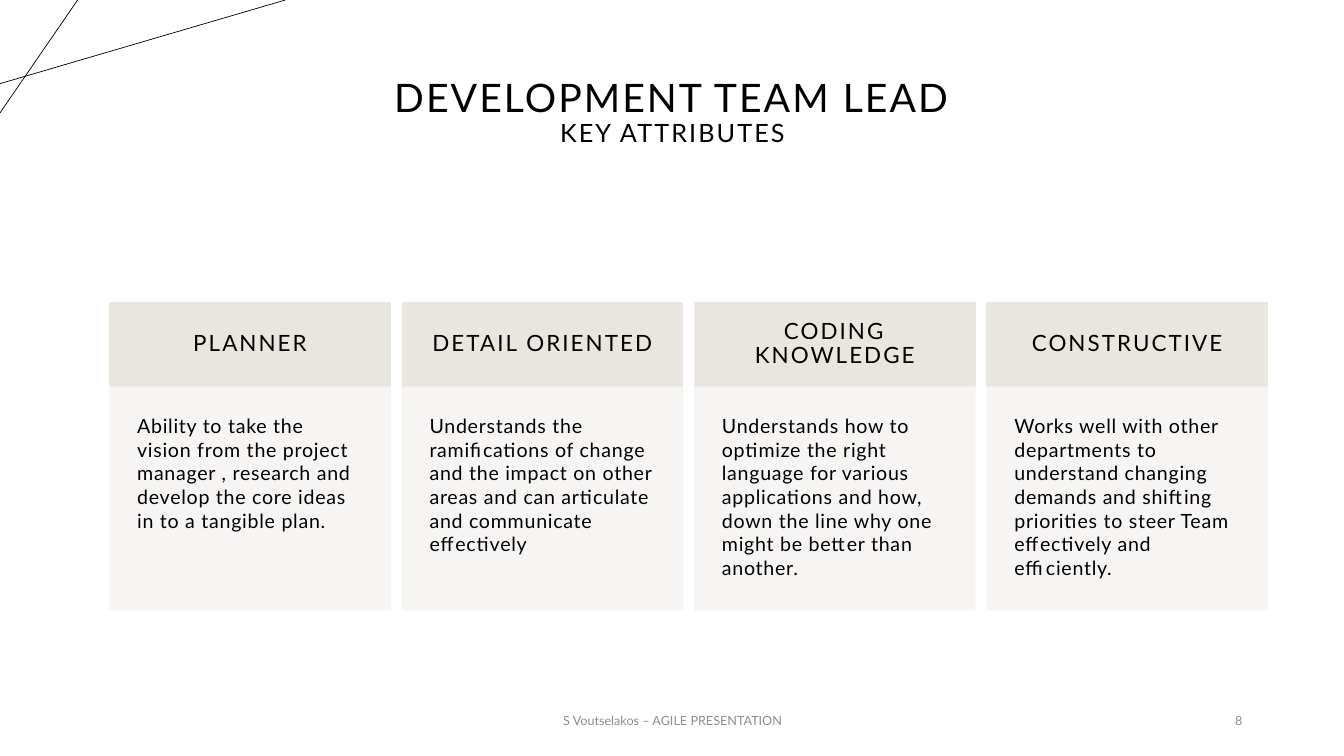
import pptx
import pptx.util
import pptx.dml.color
import pptx.enum.shapes
import pptx.enum.text
import pptx.oxml.ns
import lxml.etree

Inches = pptx.util.Inches
Pt = pptx.util.Pt
RGBColor = pptx.dml.color.RGBColor
ALIGN = pptx.enum.text.PP_ALIGN
ANCHOR = pptx.enum.text.MSO_ANCHOR

BLACK = RGBColor(0x00, 0x00, 0x00)
GREY = RGBColor(0x8C, 0x8C, 0x8C)
HEADING_FILL = RGBColor(0xE9, 0xE6, 0xDF)
BODY_FILL = RGBColor(0xF7, 0xF5, 0xF3)

FONT = "Lato"
SLIDE_WIDTH, SLIDE_HEIGHT = 13.33, 7.5
GRID_LEFT, COLUMN_PITCH, COLUMN_WIDTH = 1.09, 2.9, 2.78
HEADING_TOP, HEADING_HEIGHT = 3, 0.83
BODY_TOP, BODY_HEIGHT = 3.84, 2.21
FOOTER_TOP, FOOTER_HEIGHT = 6.95, 0.4

ATTRIBUTES = [
    ("PLANNER",
     "Ability to take the vision from the project manager , research and "
     "develop the core ideas in to a tangible plan."),
    ("DETAIL ORIENTED",
     "Understands the ramifications of change and the impact on other areas "
     "and can articulate and communicate effectively"),
    ("CODING KNOWLEDGE",
     "Understands how to optimize the right language for various applications "
     "and how, down the line why one might be better than another."),
    ("CONSTRUCTIVE",
     "Works well with other departments to understand changing demands and "
     "shifting priorities to steer Team effectively and efficiently."),
]


def write_text(shape, text, sizes, color, align, anchor, tracking=0,
               line_spacing=1.0, insets=(0.1, 0.05)):
    frame = shape.text_frame
    frame.word_wrap = True
    frame.vertical_anchor = anchor
    frame.margin_left = frame.margin_right = Inches(insets[0])
    frame.margin_top = frame.margin_bottom = Inches(insets[1])
    paragraph = frame.paragraphs[0]
    paragraph.text = text
    paragraph.alignment = align
    paragraph.line_spacing = line_spacing
    for run, size in zip(paragraph.runs, sizes):
        run.font.name = FONT
        run.font.size = Pt(size)
        run.font.color.rgb = color
        if tracking:
            run.font._element.set("spc", str(int(tracking * 100)))


def add_text(slide, box, text, sizes, color, align, **style):
    shape = slide.shapes.add_textbox(*map(Inches, box))
    write_text(shape, text, sizes, color, align, ANCHOR.MIDDLE, **style)


def add_panel(slide, box, color, opacity=100):
    shape = slide.shapes.add_shape(
        pptx.enum.shapes.MSO_SHAPE.RECTANGLE, *map(Inches, box))
    shape.shadow.inherit = False
    shape.fill.solid()
    shape.fill.fore_color.rgb = color
    shape.line.color.rgb = color
    shape.line.width = Pt(1)
    if opacity < 100:
        for element in shape._element.spPr.iter(pptx.oxml.ns.qn("a:srgbClr")):
            alpha = lxml.etree.SubElement(element, pptx.oxml.ns.qn("a:alpha"))
            alpha.set("val", str(opacity * 1000))
    return shape


def add_corner_line(slide, start, end):
    line = slide.shapes.add_connector(
        pptx.enum.shapes.MSO_CONNECTOR.STRAIGHT, *map(Inches, start + end))
    line.line.color.rgb = BLACK
    line.line.width = Pt(0.5)
    lxml.etree.SubElement(line._element.spPr, pptx.oxml.ns.qn("a:effectLst"))


def add_attribute(slide, column, heading, description):
    left = GRID_LEFT + column * COLUMN_PITCH
    heading_panel = add_panel(
        slide, (left, HEADING_TOP, COLUMN_WIDTH, HEADING_HEIGHT), HEADING_FILL)
    write_text(heading_panel, heading, [16], BLACK, ALIGN.CENTER, ANCHOR.MIDDLE,
               tracking=1.5, line_spacing=0.9, insets=(0.22, 0.22))
    body_panel = add_panel(
        slide, (left, BODY_TOP, COLUMN_WIDTH, BODY_HEIGHT), BODY_FILL, 90)
    write_text(body_panel, description, [14], BLACK, ALIGN.LEFT, ANCHOR.TOP,
               tracking=0.5, insets=(0.27, 0.27))


def main():
    presentation = pptx.Presentation()
    presentation.slide_width = Inches(SLIDE_WIDTH)
    presentation.slide_height = Inches(SLIDE_HEIGHT)
    slide = presentation.slides.add_slide(presentation.slide_layouts[6])

    add_corner_line(slide, (0, 0.83), (2.83, 0))
    add_corner_line(slide, (0.77, 0), (0, 1.12))
    add_text(slide, (0.92, 0.4, 11.5, 1.45),
             "DEVELOPMENT TEAM LEAD\vKEY ATTRIBUTES", [28, 18], BLACK,
             ALIGN.CENTER, tracking=1.5, line_spacing=0.9)
    for column, (heading, description) in enumerate(ATTRIBUTES):
        add_attribute(slide, column, heading, description)
    add_text(slide, (4.42, FOOTER_TOP, 4.5, FOOTER_HEIGHT),
             "S Voutselakos – AGILE PRESENTATION", [9], GREY, ALIGN.CENTER)
    add_text(slide, (9.42, FOOTER_TOP, 3, FOOTER_HEIGHT),
             "8", [9], GREY, ALIGN.RIGHT)

    presentation.save("out.pptx")


if __name__ == "__main__":
    main()
